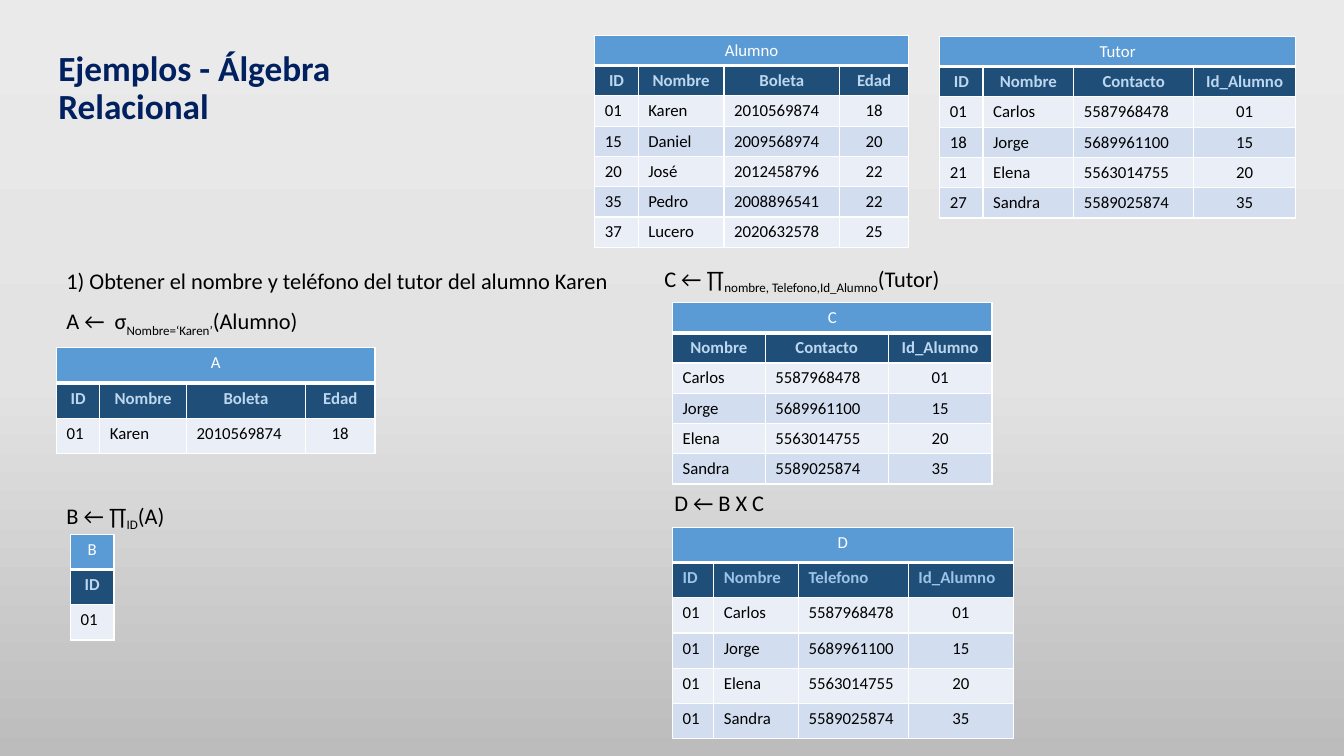
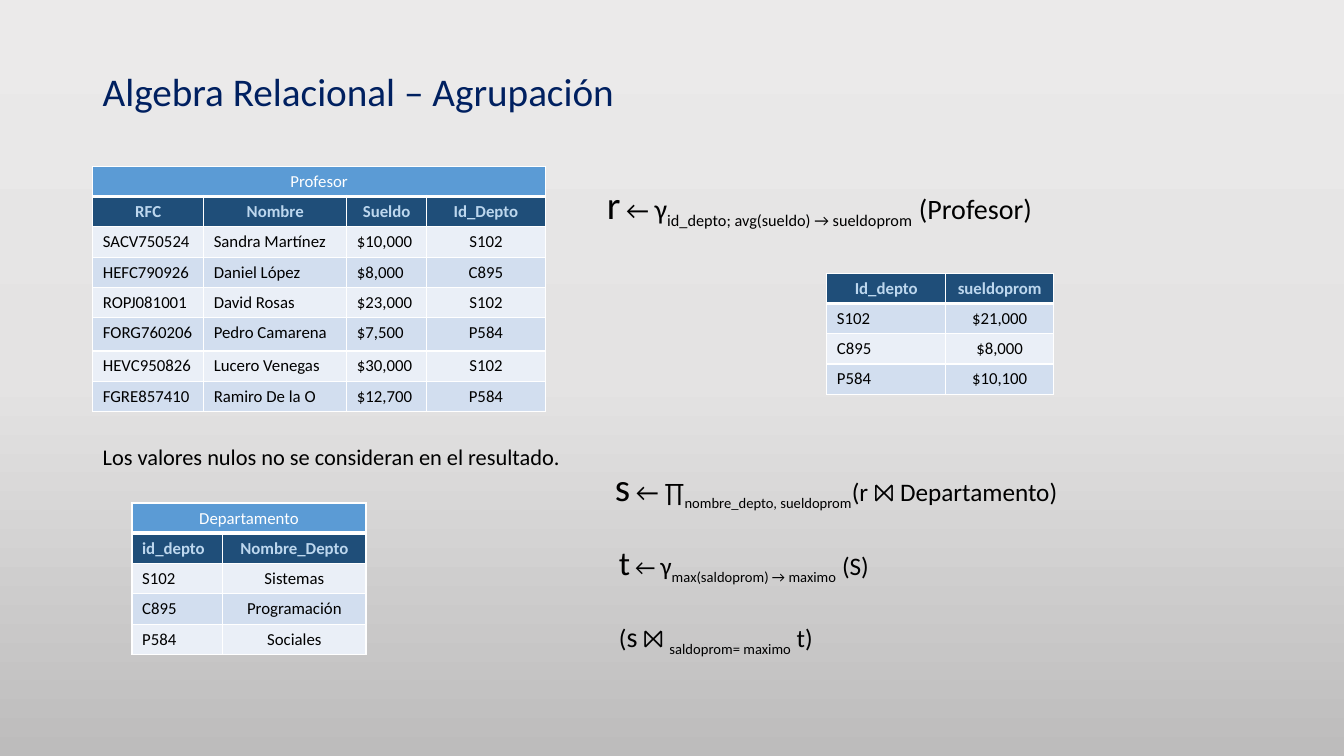
import copy
import pptx
import pptx.dml.color
import pptx.enum.text
import pptx.oxml
import pptx.oxml.ns
import pptx.util

W, H = 13.33, 7.5
FONT = "Calibri"
NAVY, BLACK, WHITE = "002060", "000000", "FFFFFF"
CAPTION, HEADER, LIGHT, DARK = "5B9BD5", "1F4E79", "EAEFF7", "D2DEEF"
PALE, MID = "BDD7EE", "9DC3E6"
BACKDROP = [(0, "EBEAEA"), (0.5, "E4E3E3"), (1, "BDBCBC")]
LEFT, CENTER = pptx.enum.text.PP_ALIGN.LEFT, pptx.enum.text.PP_ALIGN.CENTER

TUTORS = [
    ("01", "Carlos", "5587968478", "01"),
    ("18", "Jorge", "5689961100", "15"),
    ("21", "Elena", "5563014755", "20"),
    ("27", "Sandra", "5589025874", "35"),
]
STUDENTS = [
    ("01", "Karen", "2010569874", "18"),
    ("15", "Daniel", "2009568974", "20"),
    ("20", "José", "2012458796", "22"),
    ("35", "Pedro", "2008896541", "22"),
    ("37", "Lucero", "2020632578", "25"),
]
STUDENT_HEAD = ("ID", "Nombre", "Boleta", "Edad")

SLIDES = [
    {
        "title": dict(at=(0.48, 0.46, 4), runs=[("Ejemplos - Álgebra Relacional", 25.2)], bold=True),
        "lines": [
            dict(at=(0.56, 2.6, 5.9), runs=[("1) Obtener el nombre y teléfono del tutor del alumno Karen", 16)]),
            dict(at=(0.56, 3, 5), runs=[("A ←  σ", 16), ("Nombre=‘Karen’", 16, "sub"), ("(Alumno)", 16)]),
            dict(at=(0.56, 4.93, 5), runs=[("B ← ∏", 16), ("ID", 16, "sub"), ("(A)", 16)]),
            dict(at=(6.49, 2.58, 4), runs=[("C ← ∏", 16), ("nombre, Telefono,Id_Alumno", 16, "sub"), ("(Tutor)", 16)]),
            dict(at=(6.59, 4.8, 2), runs=[("D ← B X C", 16)]),
        ],
        "tables": [
            dict(at=(5.9, 0.35), caption="Alumno", cols=(0.43, 0.85, 1.15, 0.68),
                 head=STUDENT_HEAD, body=STUDENTS),
            dict(at=(9.32, 0.36), caption="Tutor", cols=(0.43, 0.9, 1.19, 1.01),
                 head=("ID", "Nombre", "Contacto", "Id_Alumno"), body=TUTORS),
            dict(at=(0.56, 3.45), caption="A", cols=(0.43, 0.86, 1.18, 0.69), row=0.35,
                 head=STUDENT_HEAD, body=STUDENTS[:1]),
            dict(at=(0.7, 5.3), caption="B", cols=(0.43,), row=0.35, head=("ID",), body=[("01",)]),
            dict(at=(6.67, 3), caption="C", cols=(0.92, 1.22, 1.03),
                 head=("Nombre", "Contacto", "Id_Alumno"), body=[t[1:] for t in TUTORS]),
            dict(at=(6.67, 5.23), caption="D", cols=(0.41, 0.84, 1.09, 1.04), row=0.35,
                 head=("ID", "Nombre", "Telefono", "Id_Alumno"), head_color=MID, left_heads=(0, 1, 2, 3),
                 body=[("01",) + t[1:] for t in TUTORS]),
        ],
    },
    {
        "title": dict(at=(0.92, 0.67, 8), runs=[("Algebra Relacional – Agrupación", 28)]),
        "lines": [
            dict(at=(5.92, 1.74, 6), runs=[("r", 28), (" ← ", 18), ("γ", 20),
                 ("id_depto; avg(sueldo) → sueldoprom", 20, "sub"), (" (Profesor)", 20)]),
            dict(at=(0.92, 4.35, 5), runs=[("Los valores nulos no se consideran en el resultado.", 16)]),
            dict(at=(6, 4.54, 6), runs=[("s", 28), (" ← ∏", 18),
                 ("nombre_depto, sueldoprom", 18, "sub"), ("(r ⨝ Departamento)", 18)]),
            dict(at=(6.04, 5.33, 5), runs=[("t", 24), (" ← ", 16), ("γ", 18),
                 ("max(saldoprom) → maximo", 18, "sub"), (" (S)", 18)]),
            dict(at=(6.04, 6.1, 5), runs=[("(", 18), ("s", 20), (" ⨝ ", 18),
                 ("saldoprom= maximo", 18, "sub"), (" t)", 18)]),
        ],
        "tables": [
            dict(at=(0.92, 1.65), caption="Profesor", cols=(1.1, 1.42, 0.79, 1.18), tall={5: 0.33},
                 head=("RFC", "Nombre", "Sueldo", "Id_Depto"),
                 body=[
                     ("SACV750524", "Sandra Martínez", "$10,000", "S102"),
                     ("HEFC790926", "Daniel López", "$8,000", "C895"),
                     ("ROPJ081001", "David Rosas", "$23,000", "S102"),
                     ("FORG760206", "Pedro Camarena", "$7,500", "P584"),
                     ("HEVC950826", "Lucero Venegas", "$30,000", "S102"),
                     ("FGRE857410", "Ramiro De la O", "$12,700", "P584"),
                 ]),
            dict(at=(8.2, 2.71), cols=(1.18, 1.07), head=("Id_depto", "sueldoprom"),
                 body=[("S102", "$21,000"), ("C895", "$8,000"), ("P584", "$10,100")]),
            dict(at=(1.31, 4.99), caption="Departamento", cols=(0.9, 1.42), left_heads=(0,),
                 head=("id_depto", "Nombre_Depto"),
                 body=[("S102", "Sistemas"), ("C895", "Programación"), ("P584", "Sociales")]),
        ],
    },
]


def rgb(color):
    return pptx.dml.color.RGBColor.from_string(color)


def inch(value):
    return pptx.util.Inches(value)


def write(tf, runs, color=BLACK, bold=False, align=LEFT, spacing=None):
    p = tf.paragraphs[0]
    p.alignment = align
    if spacing:
        p.line_spacing = spacing
    for text, size, *sub in runs:
        r = p.add_run()
        r.text = text
        r.font.name, r.font.size, r.font.bold = FONT, pptx.util.Pt(size), bold
        r.font.color.rgb = rgb(color)
        if sub:
            r.font._element.set("baseline", "-25000")


def add_line(s, at, runs, **fmt):
    left, top, width = at
    tf = s.shapes.add_textbox(inch(left), inch(top), inch(width), inch(0.5)).text_frame
    tf.word_wrap = True
    write(tf, runs, **fmt)


def add_borders(cell, bottom):
    tcPr = cell._tc.get_or_add_tcPr()
    for i, (side, points) in enumerate([("L", 1), ("R", 1), ("T", 1), ("B", bottom)]):
        tcPr.insert(i, pptx.oxml.parse_xml(
            f'<a:ln{side} {pptx.oxml.ns.nsdecls("a")} w="{points * 12700}">'
            f'<a:solidFill><a:srgbClr val="{WHITE}"/></a:solidFill></a:ln{side}>'))


def add_grid(s, at, cols, head, body, caption=None, row=0.3, tall={}, head_color=PALE, left_heads=()):
    n = len(cols)
    top_rows = [(caption,) + ("",) * (n - 1)] if caption else []
    rows = top_rows + [head] + body
    head_row = len(top_rows)
    heights = [tall.get(i, row) for i in range(len(rows))]
    table = s.shapes.add_table(len(rows), n, inch(at[0]), inch(at[1]),
                               inch(sum(cols)), inch(sum(heights))).table
    table.first_row = table.horz_banding = False
    for j, width in enumerate(cols):
        table.columns[j].width = inch(width)
    for i, values in enumerate(rows):
        table.rows[i].height = inch(heights[i])
        for j, value in enumerate(values):
            cell = table.cell(i, j)
            if i < head_row:
                fill, fmt = CAPTION, dict(color=WHITE, align=CENTER)
            elif i == head_row:
                fill = HEADER
                fmt = dict(color=head_color, bold=True, align=LEFT if j in left_heads else CENTER)
            else:
                fill = DARK if i % 2 else LIGHT
                fmt = dict(align=CENTER if 0 < j == n - 1 else LEFT)
            if value:
                write(cell.text_frame, [(value, 12)], **fmt)
            cell.fill.solid()
            cell.fill.fore_color.rgb = rgb(fill)
            add_borders(cell, 1 if i else 3)
    if caption and n > 1:
        table.cell(0, 0).merge(table.cell(0, n - 1))


def paint_backdrop(s):
    fill = s.background.fill
    fill.gradient()
    fill.gradient_angle = 270
    stops = s._element.find(".//" + pptx.oxml.ns.qn("a:gsLst"))
    stops.append(copy.deepcopy(stops[-1]))
    for stop, (position, color) in zip(fill.gradient_stops, BACKDROP):
        stop.position = position
        stop.color.rgb = rgb(color)


def main():
    prs = pptx.Presentation()
    prs.slide_width, prs.slide_height = inch(W), inch(H)
    for content in SLIDES:
        s = prs.slides.add_slide(prs.slide_layouts[6])
        paint_backdrop(s)
        add_line(s, color=NAVY, spacing=0.9, **content["title"])
        for line in content["lines"]:
            add_line(s, **line)
        for grid in content["tables"]:
            add_grid(s, **grid)
    prs.save("out.pptx")


if __name__ == "__main__":
    main()
